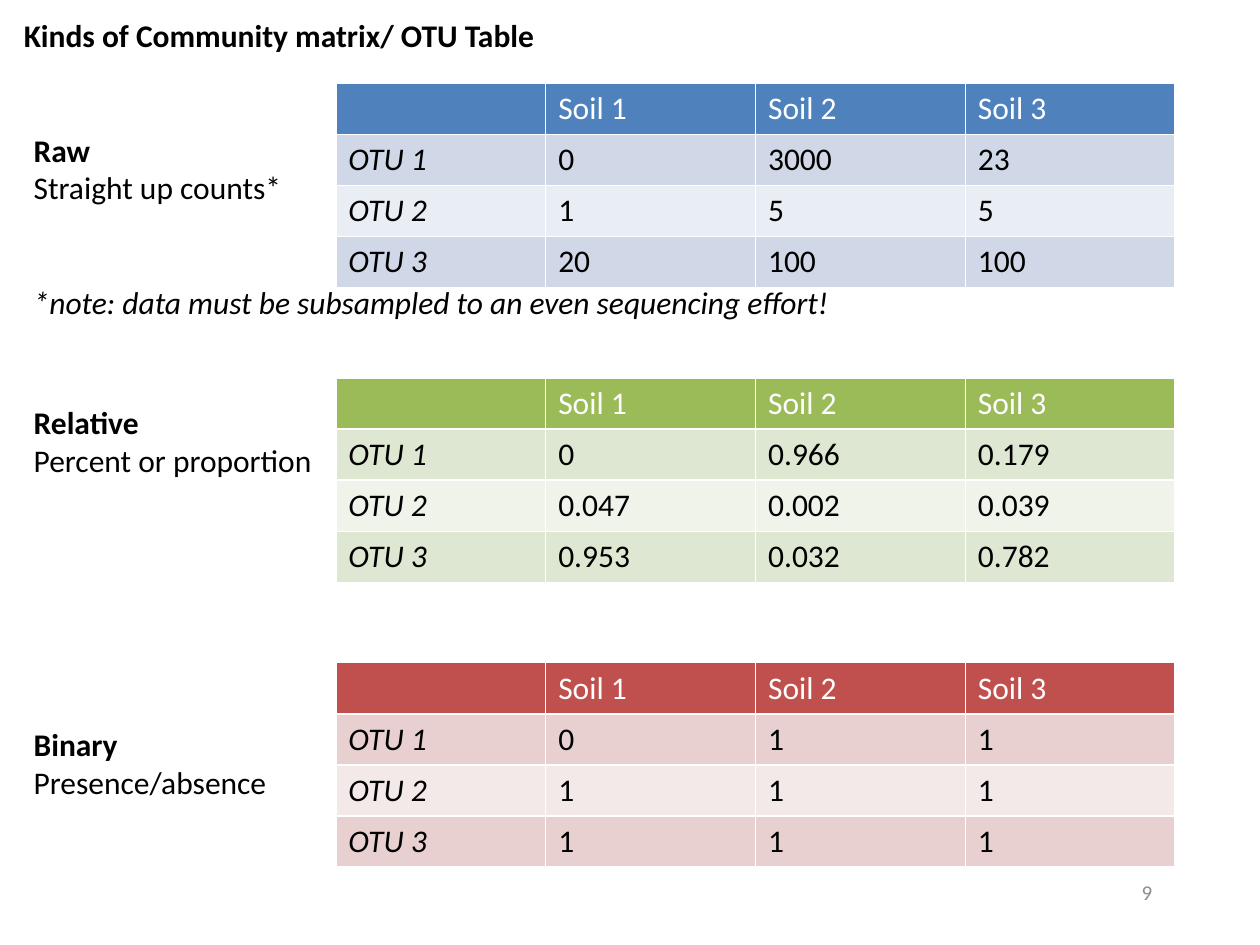
from pptx import Presentation
from pptx.dml.color import RGBColor
from pptx.enum.text import MSO_ANCHOR, PP_ALIGN
from pptx.util import Cm, Pt

MIDDLE = MSO_ANCHOR.MIDDLE
TOP = MSO_ANCHOR.TOP
RIGHT = PP_ALIGN.RIGHT
LEFT = PP_ALIGN.LEFT

FONT = "Calibri"
BLACK, WHITE, GRAY = "000000", "FFFFFF", "8C8C8C"
SAMPLES = ["Soil 1", "Soil 2", "Soil 3"]
MATRIX_LEFT, COLUMN_WIDTH, ROW_HEIGHT = 6.77, 4.23, 1.03
LABEL_LEFT = 0.43

# Top, header / odd row / even row fills, one list of counts for each OTU
MATRICES = [
    (1.68, ("4F81BD", "D0D8E8", "E9EDF4"),
     [["0", "3000", "23"], ["1", "5", "5"], ["20", "100", "100"]]),
    (7.62, ("9BBB59", "DEE7D1", "EFF3EA"),
     [["0", "0.966", "0.179"], ["0.047", "0.002", "0.039"],
      ["0.953", "0.032", "0.782"]]),
    (13.36, ("C0504D", "E8D0D0", "F4E9E9"),
     [["0", "1", "1"], ["1", "1", "1"], ["1", "1", "1"]]),
]


def rgb(color):
    return RGBColor.from_string(color)


def add_run(paragraph, text, color=BLACK, size=18, bold=False, italic=False):
    run = paragraph.add_run()
    run.text = text
    run.font.name = FONT
    run.font.size = Pt(size)
    run.font.bold = bold
    run.font.italic = italic
    run.font.color.rgb = rgb(color)


def add_text_frame(slide, left, top, width, height, wrap=True, anchor=TOP):
    box = slide.shapes.add_textbox(Cm(left), Cm(top), Cm(width), Cm(height))
    frame = box.text_frame
    frame.word_wrap = wrap
    frame.vertical_anchor = anchor
    return frame


def add_title(slide, left, top, width, height):
    frame = add_text_frame(slide, left, top, width, height, wrap=False)
    add_run(frame.paragraphs[0], "Kinds of Community matrix/ OTU Table",
            bold=True)


def add_matrix(slide, left, top, fills, counts):
    """Add an OTU table with a coloured header and alternating row fills."""
    header_fill, *band_fills = fills
    rows = [["", *SAMPLES]]
    rows += [[f"OTU {i}", *values] for i, values in enumerate(counts, 1)]
    table = slide.shapes.add_table(
        len(rows), len(rows[0]), Cm(left), Cm(top),
        Cm(COLUMN_WIDTH * len(rows[0])), Cm(ROW_HEIGHT * len(rows))).table
    for r, row in enumerate(rows):
        fill = band_fills[(r - 1) % 2] if r else header_fill
        for c, text in enumerate(row):
            cell = table.cell(r, c)
            cell.fill.solid()
            cell.fill.fore_color.rgb = rgb(fill)
            if text:
                add_run(cell.text_frame.paragraphs[0], text,
                        color=BLACK if r else WHITE, italic=c == 0)


def add_label(slide, left, top, width, height, kind, meaning, wrap=False):
    frame = add_text_frame(slide, left, top, width, height, wrap)
    add_run(frame.paragraphs[0], kind, bold=True)
    add_run(frame.add_paragraph(), meaning)
    return frame


def add_note(frame, text):
    """Add a footnote two lines below the text of a label."""
    note = frame.add_paragraph()
    note.space_before = Pt(44)
    add_run(note, text, italic=True)


def add_slide_number(slide, left, top, width, height):
    frame = add_text_frame(slide, left, top, width, height, anchor=MIDDLE)
    number = frame.paragraphs[0]
    number.alignment = RIGHT
    add_run(number, "9", color=GRAY, size=12)


def main():
    prs = Presentation()
    prs.slide_width, prs.slide_height = Cm(25.4), Cm(19.05)
    slide = prs.slides.add_slide(prs.slide_layouts[6])

    add_title(slide, 0.23, 0.2, 10.92, 1.02)
    for top, fills, counts in MATRICES:
        add_matrix(slide, MATRIX_LEFT, top, fills, counts)

    raw = add_label(slide, LABEL_LEFT, 2.51, 16.89, 4.11,
                    "Raw", "Straight up counts*")
    add_note(raw, "*note: data must be subsampled to an even "
                  "sequencing effort!")
    add_label(slide, LABEL_LEFT, 8, 6.17, 1.8,
              "Relative", "Percent or proportion", wrap=True)
    add_label(slide, LABEL_LEFT, 14.5, 5.28, 1.8,
              "Binary", "Presence/absence")
    add_slide_number(slide, 18.2, 17.35, 5.28, 1.27)

    prs.save("out.pptx")


if __name__ == "__main__":
    main()
